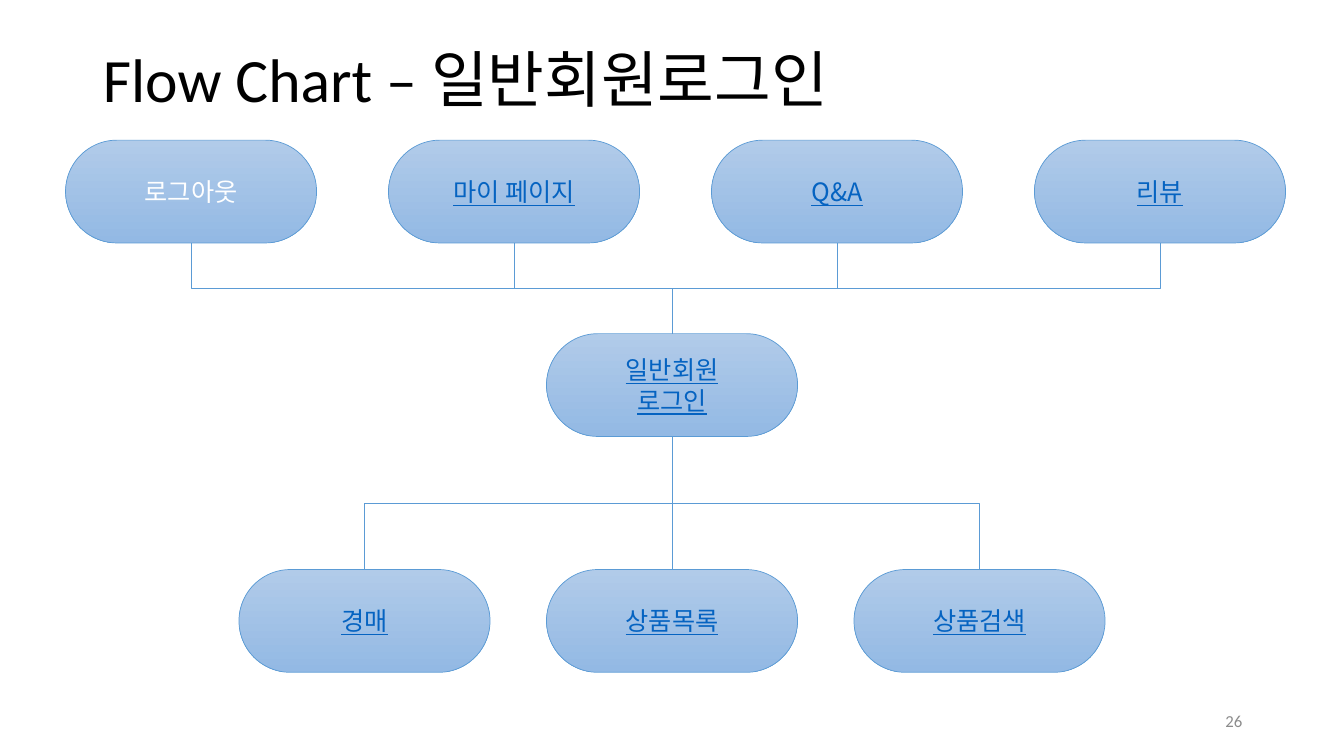
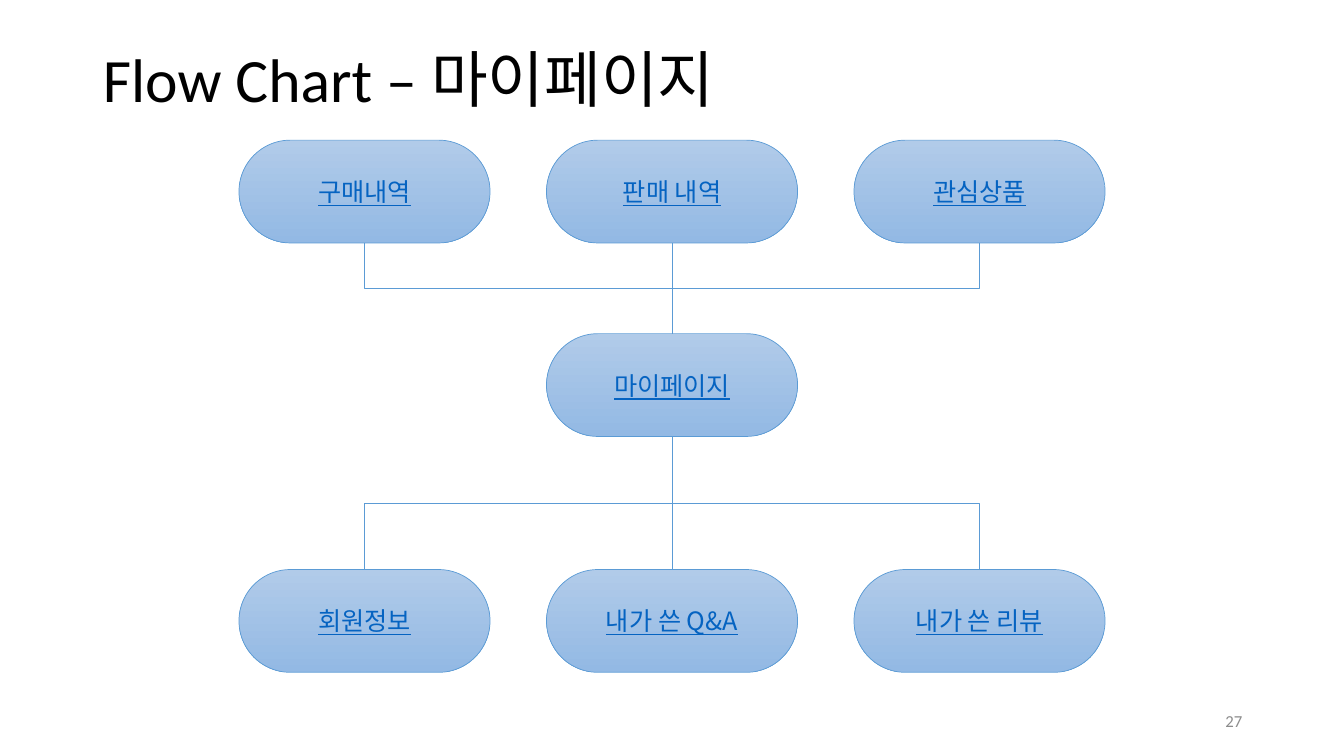
import pptx
import pptx.dml.color
import pptx.enum.shapes
import pptx.enum.text
import pptx.util
from pptx.oxml.ns import qn
from pptx.util import Inches

RGBColor = pptx.dml.color.RGBColor
PP_ALIGN = pptx.enum.text.PP_ALIGN
MIDDLE = pptx.enum.text.MSO_ANCHOR.MIDDLE
CONNECTOR = pptx.enum.shapes.MSO_CONNECTOR

BLACK = RGBColor(0x00, 0x00, 0x00)
WHITE = RGBColor(0xFF, 0xFF, 0xFF)
GRAY = RGBColor(0x8C, 0x8C, 0x8C)
LINK = RGBColor(0x05, 0x63, 0xC1)
LINE = RGBColor(0x5B, 0x9B, 0xD5)
FILL_TOP = RGBColor(0xB1, 0xCB, 0xE9)
FILL_BOTTOM = RGBColor(0x93, 0xB9, 0xE4)

LATIN, KOREAN = "Calibri", "Noto Sans CJK KR"
TITLE_FONT = {"name": LATIN, "size": pptx.util.Pt(44)}
NUMBER_FONT = {"name": LATIN, "size": pptx.util.Pt(12)}
PLAIN_FONT = {"name": KOREAN, "size": pptx.util.Pt(18), "underline": False}
LINK_FONT = {**PLAIN_FONT, "underline": True}

NODE_W, NODE_H = 2.49, 1.02
UPPER_TOP, CENTER_TOP, LOWER_TOP = 1.39, 3.31, 5.65
CENTER_LEFT = 5.42
ROW_SPAN = {3: (2.37, 8.47), 4: (0.65, 10.26)}  # left of first and last node
PLAIN_LABELS = {"로그아웃"}

CHARTS = [
    {"title": "Flow Chart – 일반회원로그인", "number": "26",
     "upper": ["로그아웃", "마이 페이지", "Q&A", "리뷰"],
     "center": "일반회원\n로그인",
     "lower": ["경매", "상품목록", "상품검색"]},
    {"title": "Flow Chart – 마이페이지", "number": "27",
     "upper": ["구매내역", "판매 내역", "관심상품"],
     "center": "마이페이지",
     "lower": ["회원정보", "내가 쓴 Q&A", "내가 쓴 리뷰"]},
]


def write(tf, text, font, color, align):
    tf.text = text
    tf.word_wrap = True
    tf.vertical_anchor = MIDDLE
    for p in tf.paragraphs:
        p.alignment = align
        for r in p.runs:
            for name, value in font.items():
                setattr(r.font, name, value)
            r.font.color.rgb = color
            latin = r.font._element.find(qn("a:latin"))
            ea = latin.makeelement(qn("a:ea"), {"typeface": KOREAN})
            latin.addnext(ea)


def add_title(s, text):
    title = s.shapes.title
    title.left, title.top = Inches(0.92), Inches(0.4)
    title.width, title.height = Inches(11.5), Inches(0.84)
    write(title.text_frame, text, TITLE_FONT, BLACK, PP_ALIGN.LEFT)
    title.text_frame.auto_size = pptx.enum.text.MSO_AUTO_SIZE.NONE
    title.text_frame.paragraphs[0].line_spacing = 0.9


def add_number(s, text):
    box = s.shapes.add_textbox(Inches(9.42), Inches(6.95), Inches(3), Inches(0.4))
    write(box.text_frame, text, NUMBER_FONT, GRAY, PP_ALIGN.RIGHT)


def add_node(s, left, top, label):
    sp = s.shapes.add_shape(pptx.enum.shapes.MSO_SHAPE.ROUNDED_RECTANGLE,
                            Inches(left), Inches(top), Inches(NODE_W), Inches(NODE_H))
    sp.adjustments[0] = 0.5
    sp.shadow.inherit = False
    sp.fill.gradient()
    sp.fill.gradient_angle = 270
    for stop, color in zip(sp.fill.gradient_stops, (FILL_TOP, FILL_BOTTOM)):
        stop.color.rgb = color
    sp.line.color.rgb = LINE
    sp.line.width = pptx.util.Pt(0.5)
    plain = label in PLAIN_LABELS
    write(sp.text_frame, label, PLAIN_FONT if plain else LINK_FONT,
          WHITE if plain else LINK, PP_ALIGN.CENTER)
    return sp


def add_row(s, top, labels):
    first, last = ROW_SPAN[len(labels)]
    pitch = (last - first) / (len(labels) - 1)
    return [add_node(s, first + i * pitch, top, label) for i, label in enumerate(labels)]


def add_elbow(s, x1, y1, x2, y2):
    """Draw a vertical-horizontal-vertical elbow from (x1, y1) down to (x2, y2)."""
    half_w, half_h = (y2 - y1) // 2, abs(x2 - x1) // 2
    cx, cy = (x1 + x2) // 2, (y1 + y2) // 2
    side = 1 if x2 > x1 else -1
    c = s.shapes.add_connector(CONNECTOR.ELBOW, cx + side * half_w, cy - half_h,
                               cx - side * half_w, cy + half_h)
    xfrm = c._element.spPr.find(qn("a:xfrm"))
    xfrm.set("rot", str((270 if side > 0 else 90) * 60000))
    return c


def connect(s, upper, lower):
    x1, y1 = upper.left + upper.width // 2, upper.top + upper.height
    x2, y2 = lower.left + lower.width // 2, lower.top
    if abs(x1 - x2) < Inches(0.01):
        c = s.shapes.add_connector(CONNECTOR.STRAIGHT, x1, y1, x2, y2)
        c.begin_connect(upper, 2)
        c.end_connect(lower, 0)
    else:
        c = add_elbow(s, x1, y1, x2, y2)
    c.line.color.rgb = LINE
    c.line.width = pptx.util.Pt(0.5)
    spPr = c._element.spPr
    spPr.append(spPr.makeelement(qn("a:effectLst"), {}))


def add_chart_slide(prs, chart):
    s = prs.slides.add_slide(prs.slide_layouts[5])
    add_title(s, chart["title"])
    add_number(s, chart["number"])
    center = add_node(s, CENTER_LEFT, CENTER_TOP, chart["center"])
    for node in add_row(s, UPPER_TOP, chart["upper"]):
        connect(s, node, center)
    for node in add_row(s, LOWER_TOP, chart["lower"]):
        connect(s, center, node)


def main():
    prs = pptx.Presentation()
    prs.slide_width, prs.slide_height = Inches(13.33), Inches(7.5)
    for chart in CHARTS:
        add_chart_slide(prs, chart)
    prs.save("out.pptx")


if __name__ == "__main__":
    main()
